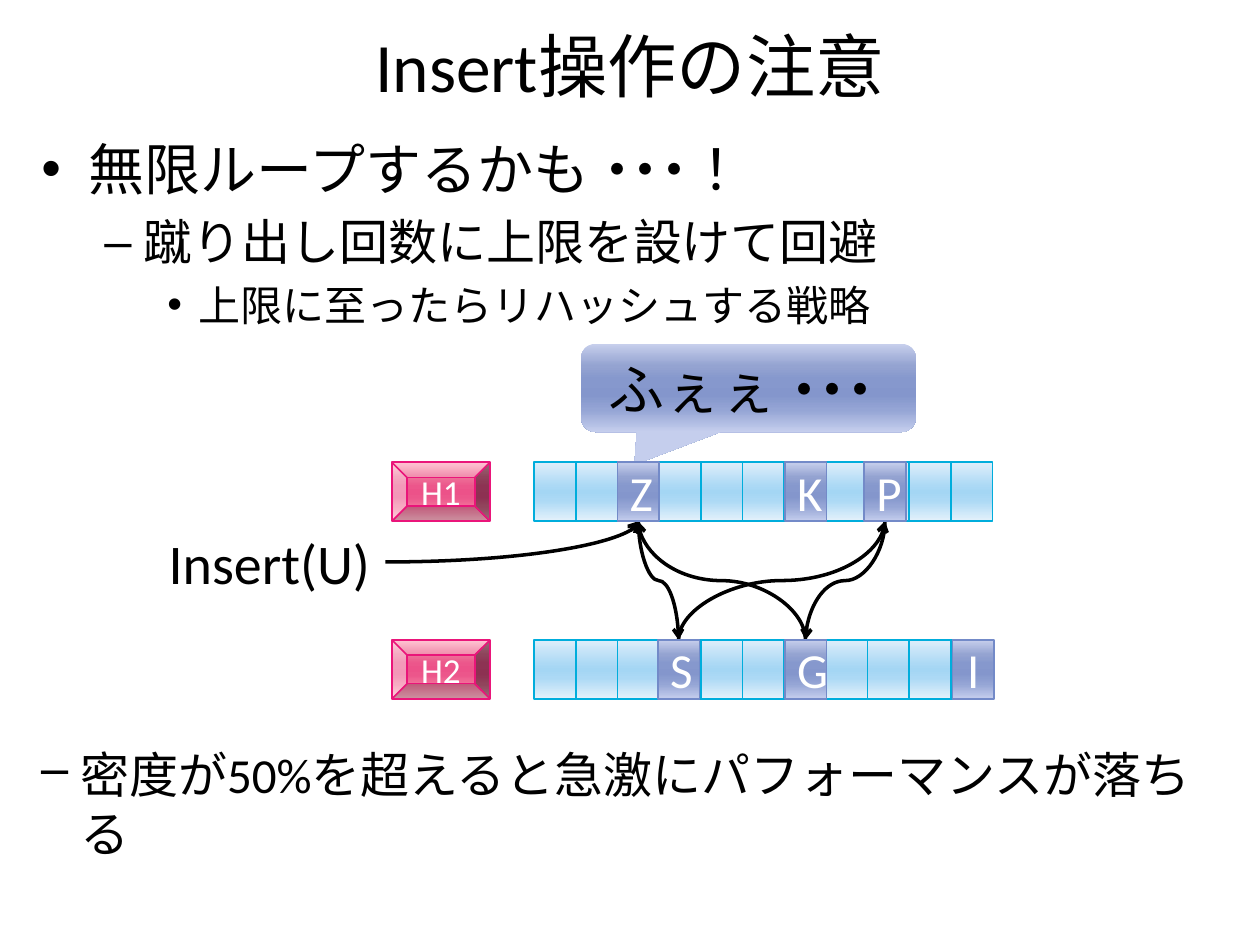
from lxml import etree
from pptx import Presentation
from pptx.dml.color import RGBColor
from pptx.enum.shapes import MSO_CONNECTOR, MSO_SHAPE
from pptx.enum.text import MSO_ANCHOR, PP_ALIGN
from pptx.oxml.ns import qn
from pptx.util import Cm, Pt

FONT = "Calibri"
DOTS = "・・・"
BLACK = RGBColor(0x00, 0x00, 0x00)
WHITE = RGBColor(0xFF, 0xFF, 0xFF)
CYAN = RGBColor(0x00, 0xAD, 0xDC)
BLUE = RGBColor(0x73, 0x8A, 0xC8)
PINK = RGBColor(0xEA, 0x15, 0x7A)

# Gradients run from top to bottom: percent and colour
CYAN_STOPS = [
    (0, RGBColor(0xDE, 0xEE, 0xFA)), (40, RGBColor(0xAC, 0xD9, 0xF5)),
    (50, RGBColor(0xA4, 0xD6, 0xF4)), (65, RGBColor(0xAC, 0xD9, 0xF5)),
    (100, RGBColor(0xE5, 0xF2, 0xFB)),
]
BLUE_STOPS = [
    (0, RGBColor(0xC7, 0xCF, 0xEC)), (25, RGBColor(0x94, 0xA3, 0xD1)),
    (40, RGBColor(0x86, 0x98, 0xCD)), (50, RGBColor(0x84, 0x96, 0xCC)),
    (60, RGBColor(0x86, 0x98, 0xCD)), (75, RGBColor(0x95, 0xA5, 0xD5)),
    (100, RGBColor(0xC5, 0xCE, 0xED)),
]
PINK_STOPS = [
    (0, RGBColor(0xFF, 0xB6, 0xC9)), (25, RGBColor(0xED, 0x71, 0x98)),
    (40, RGBColor(0xEC, 0x56, 0x8B)), (50, RGBColor(0xEC, 0x52, 0x89)),
    (60, RGBColor(0xEC, 0x56, 0x8B)), (75, RGBColor(0xF2, 0x72, 0x9A)),
    (100, RGBColor(0xFF, 0xB6, 0xC9)),
]

# Lengths in centimetres
CELL_COUNT = 11
CELL_WIDTH, CELL_HEIGHT = 0.84, 1.19
TABLE_LEFT = 10.77
H1_TOP, H2_TOP = 9.32, 12.9
H1_KEYS = {"Z": 12.45, "K": 15.82, "P": 17.42}
H2_KEYS = {"S": 13.26, "G": 15.82, "I": 19.2}
TABLES = [("H1", H1_TOP, H1_KEYS), ("H2", H2_TOP, H2_KEYS)]
KICK_ORDER = "ZSPGZ"


def write_line(paragraph, text, size, color=BLACK):
    """Fill a paragraph, setting any ellipsis dots half an em apart."""
    for part in filter(None, text.partition(DOTS)):
        run = paragraph.add_run()
        run.text = part
        if part == DOTS:
            run._r.get_or_add_rPr().set("spc", str(-size * 50))
    paragraph.font.name = FONT
    paragraph.font.size = Pt(size)
    paragraph.font.color.rgb = color


def place(shape, left, top, width, height):
    shape.left, shape.top = Cm(left), Cm(top)
    shape.width, shape.height = Cm(width), Cm(height)


def fill_gradient(shape, stops):
    shape.fill.gradient()
    shape.fill.gradient_angle = 270
    stop_list = shape.fill._xPr.find(qn("a:gradFill")).find(qn("a:gsLst"))
    for default_stop in list(stop_list):
        stop_list.remove(default_stop)
    for percent, color in stops:
        stop = etree.SubElement(stop_list, qn("a:gs"), pos=str(percent * 1000))
        etree.SubElement(stop, qn("a:srgbClr"), val=str(color))


def add_block(slide, kind, box, stops, outline=None, text="", size=28, color=WHITE):
    block = slide.shapes.add_shape(kind, *map(Cm, box))
    block.shadow.inherit = False
    fill_gradient(block, stops)
    if outline is None:
        block.line.fill.background()
    else:
        block.line.color.rgb = outline
        block.line.width = Pt(0.94)
    if text:
        block.text_frame.vertical_anchor = MSO_ANCHOR.MIDDLE
        paragraph = block.text_frame.paragraphs[0]
        paragraph.alignment = PP_ALIGN.CENTER
        write_line(paragraph, text, size, color)
    return block


def add_label(slide, box, wrap):
    """Add an empty text box and return its paragraph."""
    label = slide.shapes.add_textbox(*map(Cm, box))
    label.text_frame.word_wrap = wrap
    return label.text_frame.paragraphs[0]


def add_curve(slide, x1, y1, x2, y2):
    curve = slide.shapes.add_connector(
        MSO_CONNECTOR.CURVE, Cm(x1), Cm(y1), Cm(x2), Cm(y2))
    curve.line.color.rgb = BLACK
    curve.line.width = Pt(2)
    properties = curve._element.spPr
    etree.SubElement(properties.find(qn("a:ln")), qn("a:tailEnd"), type="arrow")
    etree.SubElement(properties, qn("a:effectLst"))
    return properties


def add_upright_curve(slide, x1, y1, x2, y2):
    """Draw a curve that leaves and arrives vertically: a level one turned by 90°."""
    middle_x, middle_y = (x1 + x2) / 2, (y1 + y2) / 2
    half_x, half_y = (x2 - x1) / 2, (y2 - y1) / 2
    properties = add_curve(slide, middle_x - half_y, middle_y + half_x,
                           middle_x + half_y, middle_y - half_x)
    properties.find(qn("a:xfrm")).set("rot", "5400000")


def key_anchor(key):
    """Return the point on the key's cell that faces the other table."""
    if key in H1_KEYS:
        return H1_KEYS[key] + CELL_WIDTH / 2, H1_TOP + CELL_HEIGHT
    return H2_KEYS[key] + CELL_WIDTH / 2, H2_TOP


def add_title_and_points(slide):
    title, body = slide.placeholders
    place(title, 1.27, 0.41, 22.86, 1.78)
    write_line(title.text_frame.paragraphs[0], "Insert操作の注意", 39.6)

    place(body, 0.58, 2.59, 24.21, 5.56)
    points = [("無限ループするかも・・・！", 32),
              ("蹴り出し回数に上限を設けて回避", 28),
              ("上限に至ったらリハッシュする戦略", 24)]
    paragraph = body.text_frame.paragraphs[0]
    paragraph.space_before = Pt(0)
    for level, (text, size) in enumerate(points):
        if level:
            paragraph = body.text_frame.add_paragraph()
        paragraph.level = level
        write_line(paragraph, text, size)


def add_empty_tables(slide):
    for name, top, _ in TABLES:
        for column in range(CELL_COUNT):
            left = TABLE_LEFT + column * CELL_WIDTH
            add_block(slide, MSO_SHAPE.RECTANGLE,
                      (left, top, CELL_WIDTH, CELL_HEIGHT), CYAN_STOPS, CYAN)
        header = add_block(slide, MSO_SHAPE.BEVEL, (7.9, top, 1.98, CELL_HEIGHT),
                           PINK_STOPS, PINK, name, 20)
        header.adjustments[0] = 0.26


def add_kick_arrows(slide):
    entry = add_curve(slide, 7.77, 11.33, *key_anchor("Z"))
    entry.find(qn("a:prstGeom")).set("prst", "curvedConnector2")
    for kicker, kicked in zip(KICK_ORDER, KICK_ORDER[1:]):
        add_upright_curve(slide, *key_anchor(kicker), *key_anchor(kicked))


def add_callout(slide):
    callout = add_block(slide, MSO_SHAPE.ROUNDED_RECTANGULAR_CALLOUT,
                        (11.71, 6.93, 6.76, 1.78), BLUE_STOPS,
                        text="ふぇぇ・・・", size=32, color=BLACK)
    callout.text_frame.word_wrap = False
    for index, value in enumerate((-0.34, 0.87, 0.17)):
        callout.adjustments[index] = value


def add_keys(slide):
    for _, top, keys in TABLES:
        for key, left in keys.items():
            add_block(slide, MSO_SHAPE.RECTANGLE,
                      (left, top, CELL_WIDTH, CELL_HEIGHT), BLUE_STOPS, BLUE, key)


def add_density_note(slide):
    paragraph = add_label(slide, (0.58, 14.88, 24.21, 3.96), True)
    indents = paragraph._p.get_or_add_pPr()
    indents.set("marL", str(Cm(0.79)))
    indents.set("indent", str(Cm(-0.79)))
    etree.SubElement(indents, qn("a:buChar"), char="–")
    write_line(paragraph, "密度が50%を超えると急激にパフォーマンスが落ちる", 28)


def main():
    presentation = Presentation()
    presentation.slide_width, presentation.slide_height = Cm(25.4), Cm(19.05)
    slide = presentation.slides.add_slide(presentation.slide_layouts[1])
    add_title_and_points(slide)
    add_empty_tables(slide)
    add_kick_arrows(slide)
    write_line(add_label(slide, (3.15, 10.52, 4.62, 1.63), False), "Insert(U)", 32)
    add_callout(slide)
    add_keys(slide)
    add_density_note(slide)
    presentation.save("out.pptx")


if __name__ == "__main__":
    main()
